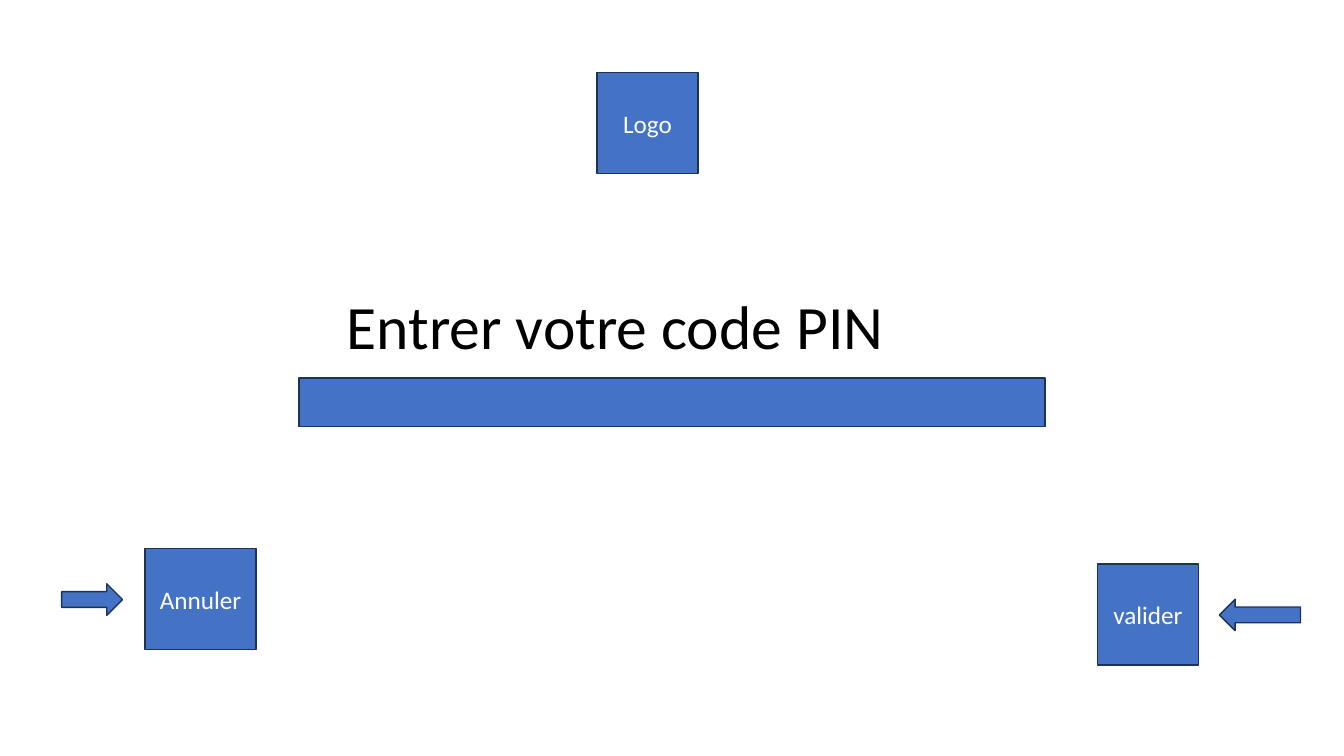
import pptx
import pptx.util
import pptx.dml.color
import pptx.enum.shapes
import pptx.enum.text

Pt = pptx.util.Pt
RGB = pptx.dml.color.RGBColor.from_string
Kind = pptx.enum.shapes.MSO_SHAPE
Align = pptx.enum.text.PP_ALIGN
Anchor = pptx.enum.text.MSO_ANCHOR

# Content: boxes are left, top, width, height in points
TITLE = ("Entrer votre code PIN", (240.5, 183, 444, 104.5))
SHAPES = [
    (Kind.RECTANGLE, "valider", (784, 403, 72, 72)),
    (Kind.LEFT_ARROW, "", (871, 428, 58, 22.5)),
    (Kind.RECTANGLE, "Annuler", (103.5, 392, 79.5, 72)),
    (Kind.RIGHT_ARROW, "", (44, 417, 43.5, 22.5)),
    (Kind.RECTANGLE, "", (213.5, 270, 533, 34.5)),
    (Kind.RECTANGLE, "Logo", (426.5, 52, 72, 72)),
]
THEME = {
    "font": "Calibri", "fill": "4472C4", "line": "1E3256",
    "label": "FFFFFF", "title": "000000",
    "label size": 18, "title size": 44, "line size": 1,
}


def write(frame, text, role, align):
    frame.text = text
    frame.vertical_anchor = Anchor.MIDDLE
    line = frame.paragraphs[0]
    line.alignment = align
    for run in line.runs:
        run.font.name = THEME["font"]
        run.font.size = Pt(THEME[role + " size"])
        run.font.color.rgb = RGB(THEME[role])


def draw(slide, kind, text, box):
    shape = slide.shapes.add_shape(kind, *map(Pt, box))
    shape.shadow.inherit = False
    shape.fill.solid()
    shape.fill.fore_color.rgb = RGB(THEME["fill"])
    shape.line.color.rgb = RGB(THEME["line"])
    shape.line.width = Pt(THEME["line size"])
    if text:
        write(shape.text_frame, text, "label", Align.CENTER)


def main():
    deck = pptx.Presentation()
    deck.slide_width, deck.slide_height = Pt(960), Pt(540)
    slide = deck.slides.add_slide(deck.slide_layouts[5])

    # Title
    text, box = TITLE
    title = slide.shapes.title
    title.left, title.top, title.width, title.height = map(Pt, box)
    write(title.text_frame, text, "title", Align.LEFT)
    title.text_frame.paragraphs[0].line_spacing = 0.9

    # Logo box, PIN field, buttons and arrows
    for kind, text, box in SHAPES:
        draw(slide, kind, text, box)

    deck.save("out.pptx")


if __name__ == "__main__":
    main()
